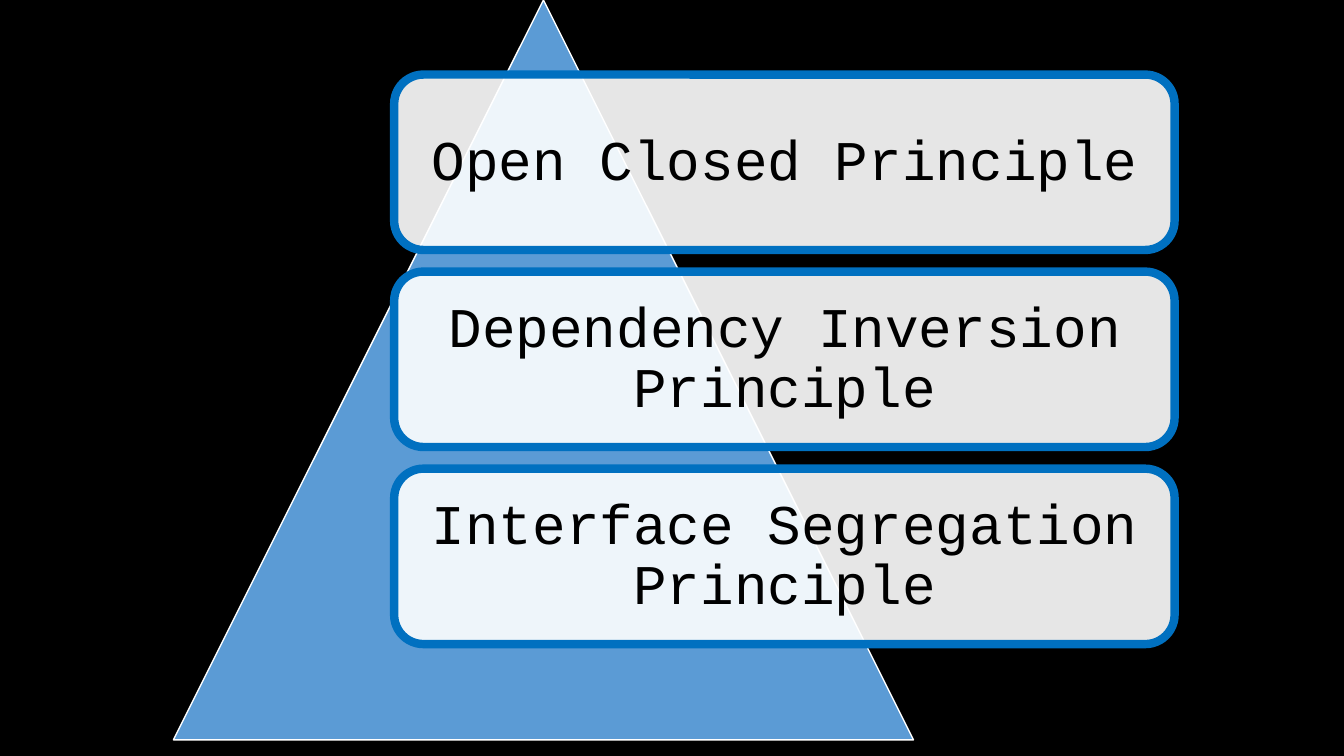
from dataclasses import dataclass

from lxml import etree
from pptx import Presentation
from pptx.dml.color import RGBColor
from pptx.enum import shapes, text
from pptx.oxml import ns
from pptx.util import Inches, Pt


@dataclass(frozen=True)
class Theme:
    background: RGBColor = RGBColor(0x00, 0x00, 0x00)
    pyramid: RGBColor = RGBColor(0x5B, 0x9B, 0xD5)
    pyramid_line: RGBColor = RGBColor(0xFF, 0xFF, 0xFF)
    card: RGBColor = RGBColor(0xFF, 0xFF, 0xFF)
    card_line: RGBColor = RGBColor(0x00, 0x70, 0xC0)
    ink: RGBColor = RGBColor(0x00, 0x00, 0x00)
    font: str = "Courier New"
    size: int = 40
    card_opacity: int = 90


THEME = Theme()
PRINCIPLES = [
    "Open Closed Principle",
    "Dependency Inversion Principle",
    "Interface Segregation Principle",
]


def add_panel(page, kind, box, fill, line, line_width):
    """Add a filled, outlined shape; box is left, top, width, height in inches."""
    panel = page.shapes.add_shape(kind, *map(Inches, box))
    panel.shadow.inherit = False
    panel.fill.solid()
    panel.fill.fore_color.rgb = fill
    panel.line.color.rgb = line
    panel.line.width = Pt(line_width)
    return panel


def set_opacity(panel, percent):
    color = panel.fill._xPr.find(ns.qn("a:solidFill"))[0]
    etree.SubElement(color, ns.qn("a:alpha"), val=str(percent * 1000))


def add_card(page, box, label):
    card = add_panel(page, shapes.MSO_SHAPE.ROUNDED_RECTANGLE, box,
                     THEME.card, THEME.card_line, 6)
    set_opacity(card, THEME.card_opacity)
    frame = card.text_frame
    frame.word_wrap = True
    frame.vertical_anchor = text.MSO_ANCHOR.MIDDLE
    frame.margin_left = frame.margin_right = Inches(0.17)
    frame.margin_top = frame.margin_bottom = Inches(0.17)
    frame.text = label
    para = frame.paragraphs[0]
    para.alignment = text.PP_ALIGN.CENTER
    para.line_spacing = 0.9
    font = para.runs[0].font
    font.name = THEME.font
    font.size = Pt(THEME.size)
    font.color.rgb = THEME.ink


def add_pyramid_list(page, box, labels):
    """Draw a pyramid filling the box, with cards stacked from its middle."""
    left, top, width, height = box
    add_panel(page, shapes.MSO_SHAPE.ISOSCELES_TRIANGLE, box,
              THEME.pyramid, THEME.pyramid_line, 1)
    card_width, card_height, pitch = 7.74, 1.74, 1.955
    card_left, first_top = left + 2.19, top + 0.74
    for row, label in enumerate(labels):
        add_card(page, (card_left, first_top + row * pitch, card_width, card_height), label)


def main():
    deck = Presentation()
    deck.slide_width, deck.slide_height = Inches(13.33), Inches(7.5)
    page = deck.slides.add_slide(deck.slide_layouts[6])
    page.background.fill.solid()
    page.background.fill.fore_color.rgb = THEME.background
    add_pyramid_list(page, (1.72, 0, 7.34, 7.34), PRINCIPLES)
    deck.save("out.pptx")


if __name__ == "__main__":
    main()
